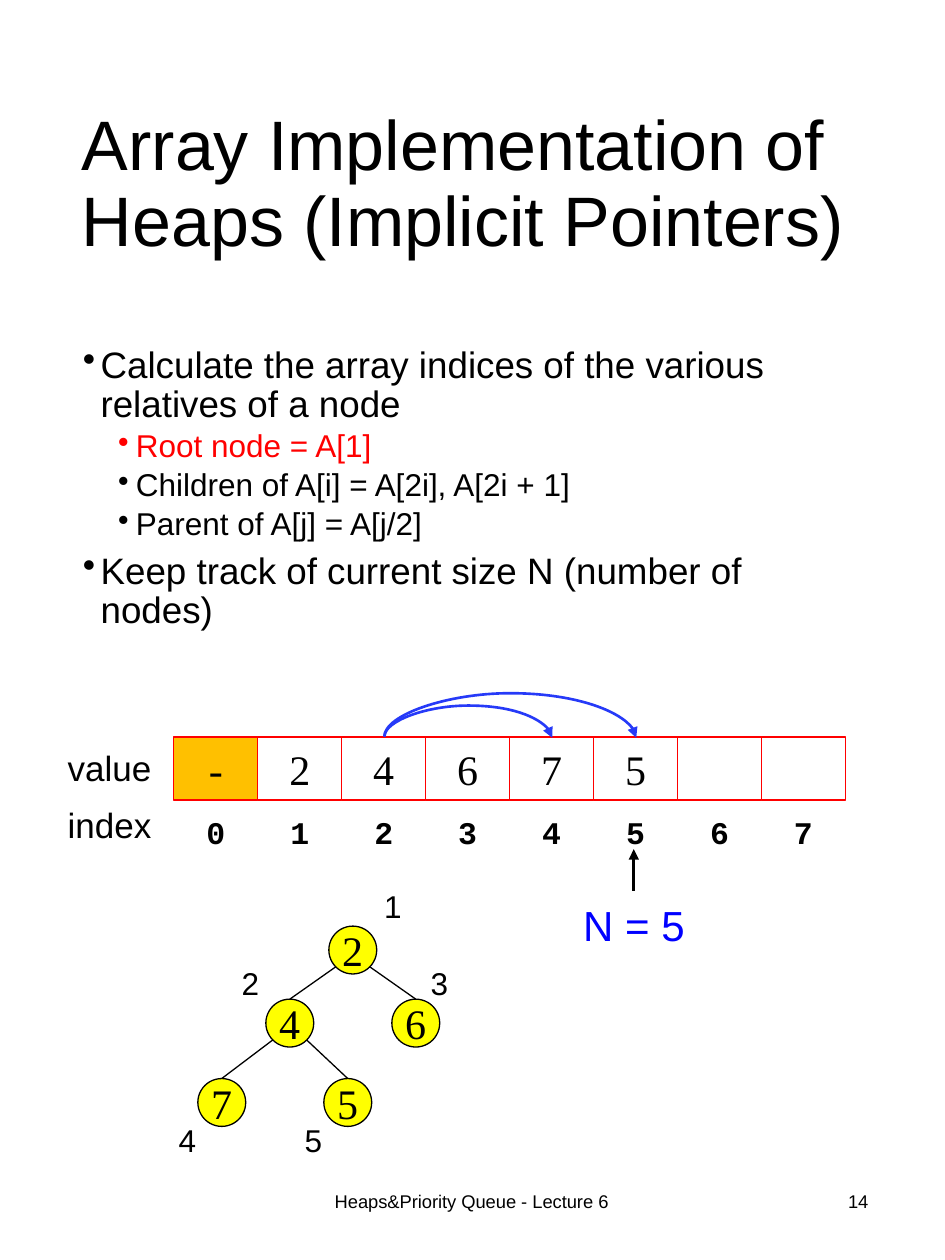
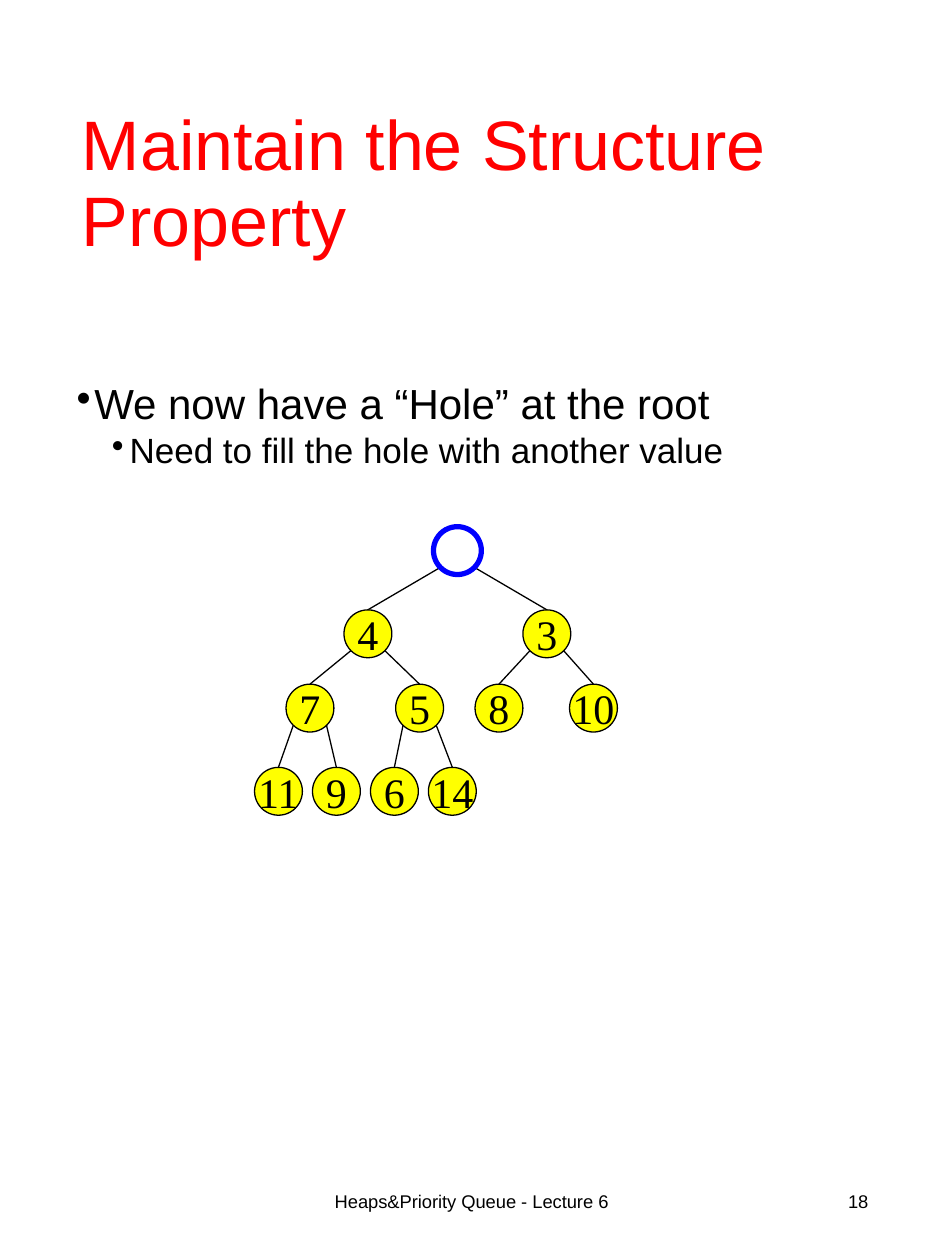
from lxml.etree import SubElement
from pptx import Presentation
from pptx.dml.color import RGBColor
from pptx.enum.shapes import MSO_CONNECTOR as Link, MSO_SHAPE as Form
from pptx.enum.text import MSO_ANCHOR as Anchor, MSO_AUTO_SIZE as Fit, PP_ALIGN as Align
from pptx.oxml.ns import qn
from pptx.util import Pt

PX = 9144
BLACK = RGBColor(0x00, 0x00, 0x00)
RED = RGBColor(0xFF, 0x00, 0x00)
BLUE = RGBColor(0x00, 0x00, 0xFF)
ARC = RGBColor(0x26, 0x3A, 0xF8)
YELLOW = RGBColor(0xFF, 0xFF, 0x00)
AMBER = RGBColor(0xFF, 0xC0, 0x00)
SANS, SERIF, MONO = "Arial", "Times New Roman", "Courier New"
NODE = 38


def scale(*nums):
    """Turn px into EMU."""
    return [round(n * PX) for n in nums]


def add_run(para, text, size, color=BLACK, font=SANS, bold=False):
    """Add one styled run."""
    run = para.add_run()
    run.text = text
    run.font.size = Pt(size)
    run.font.name = font
    run.font.bold = bold
    run.font.color.rgb = color


def write(shape, text, size, color=BLACK, font=SANS, align=Align.CENTER,
          anchor=Anchor.MIDDLE, wrap=False, bold=False):
    """Put one line of text in a shape."""
    frame = shape.text_frame
    frame.word_wrap = wrap
    frame.vertical_anchor = anchor
    para = frame.paragraphs[0]
    para.alignment = align
    add_run(para, text, size, color, font, bold)


def label(slide, box, text, size, **style):
    """Add a text box with one line."""
    write(slide.shapes.add_textbox(*scale(*box)), text, size, **style)


def draw(slide, form, box, fill, edge, width=0.75, text=""):
    """Add a preset shape with an optional value."""
    shape = slide.shapes.add_shape(form, *scale(*box))
    shape.shadow.inherit = False
    if fill is None:
        shape.fill.background()
    else:
        shape.fill.solid()
        shape.fill.fore_color.rgb = fill
    shape.line.color.rgb = edge
    shape.line.width = Pt(width)
    if text:
        write(shape, text, 24, font=SERIF)


def join(slide, ends, color=BLACK, width=0.75, kind=Link.STRAIGHT, head=False):
    """Add a line, with an arrowhead if asked."""
    line = slide.shapes.add_connector(kind, *scale(*ends))
    line.line.color.rgb = color
    line.line.width = Pt(width)
    props = line._element.spPr
    if head:
        SubElement(props.find(qn("a:ln")), qn("a:tailEnd"), type="triangle")
    SubElement(props, qn("a:effectLst"))
    return line


def arc(slide, start, end, top, rise):
    """Add an arrow that arches over the cells."""
    mid, half = (start + end) / 2, (end - start) / 2
    line = join(slide, (mid, top + half, mid + 1, top - half), ARC, 1.5,
                Link.CURVE, True)
    props = line._element.spPr
    props.find(qn("a:xfrm")).set("rot", "5400000")
    geom = props.find(qn("a:prstGeom"))
    guides = geom.find(qn("a:avLst"))
    if guides is None:
        guides = SubElement(geom, qn("a:avLst"))
    SubElement(guides, qn("a:gd"), name="adj1", fmla=f"val {-rise * 100000}")


def start_slide(deck, title, number, color=BLACK):
    """Add a slide with its title and footer."""
    slide = deck.slides.add_slide(deck.slide_layouts[5])
    head = slide.shapes.title
    head.left, head.top, head.width, head.height = scale(55, 51, 647, 193)
    write(head, title, 40, color, align=Align.LEFT, wrap=True)
    head.text_frame.auto_size = Fit.NONE
    head.text_frame.paragraphs[0].line_spacing = 0.9
    label(slide, (248, 927, 253, 53), "Heaps&Priority Queue - Lecture 6", 10.5, wrap=True)
    label(slide, (530, 927, 169, 53), number, 10.5, align=Align.RIGHT, wrap=True)
    return slide


def bullets(slide, box, sizes, items):
    """Add a two-level bullet list."""
    frame = slide.shapes.add_textbox(*scale(*box)).text_frame
    frame.word_wrap = True
    for i, (level, text, color) in enumerate(items):
        para = frame.add_paragraph() if i else frame.paragraphs[0]
        para.level = level
        props = para._p.get_or_add_pPr()
        left, hang = scale(14 + 28 * level, -14)
        props.set("marL", str(left))
        props.set("indent", str(hang))
        SubElement(props, qn("a:buChar"), char="•")
        para.line_spacing = 0.9
        para.space_before = Pt((5.7, 2.8)[level] if i else 0)
        add_run(para, text, sizes[level], color)


def tree(slide, box, values, spots):
    """Draw a heap, where node i hangs from node i // 2."""
    left, top = box
    spots = [(left + x, top + y) for x, y in spots]
    for i, (x, y) in enumerate(spots[1:], 2):
        up_x, up_y = spots[i // 2 - 1]
        side = 13 if i % 2 else -13
        join(slide, (up_x + 19 + side, up_y + 32, x + 19, y))
    for value, (x, y) in zip(values, spots):
        look = (YELLOW, BLACK, 0.75) if value else (None, BLUE, 3)
        draw(slide, Form.OVAL, (x, y, NODE, NODE), *look, value)


def tags(slide, box, spots):
    """Number the nodes of a heap."""
    left, top = box
    for i, (x, y) in enumerate(spots, 1):
        label(slide, (left + x, top + y, 34, 40), str(i), 18,
              align=Align.LEFT, anchor=Anchor.TOP)


def array(slide, box, values):
    """Draw the array cells, their indices and the child arrows."""
    left, top, width, high = box
    step = width / len(values)
    for text, y, wide in (("value", 2, 90), ("index", 47, 93)):
        label(slide, (left - 51 - wide / 2, top + y, wide, 44), text, 20)
    for i, value in enumerate(values):
        x = left + i * step
        draw(slide, Form.RECTANGLE, (x, top, step, high),
             None if i else AMBER, RED, text=value)
        label(slide, (x, top + high, step, high), str(i), 18, font=MONO, bold=True)
    for child, rise in ((4, 25), (5, 35)):
        arc(slide, left + 2.5 * step, left + (child + 0.5) * step, top, rise)
    join(slide, (left + 365, top + 122, left + 365, top + 89), width=1.5, head=True)
    label(slide, (left + 315, top + 124, 107, 50), "N = 5", 24, color=BLUE,
          align=Align.LEFT, anchor=Anchor.TOP)


def array_slide(deck):
    """Build the slide on the array form of a heap."""
    slide = start_slide(deck, "Array Implementation of Heaps (Implicit Pointers)", "14")
    bullets(slide, (56, 270, 619, 293), (21, 18), [
        (0, "Calculate the array indices of the various relatives of a node", BLACK),
        (1, "Root node = A[1]", RED),
        (1, "Children of A[i] = A[2i], A[2i + 1]", BLACK),
        (1, "Parent of A[j] = A[j/2]", BLACK),
        (0, "Keep track of current size N (number of nodes)", BLACK),
    ])
    array(slide, (138, 585, 533, 50), ["-", "2", "4", "6", "7", "5", "", ""])
    box = (157, 735)
    tree(slide, box, ["2", "4", "6", "7", "5"],
         [(104, 0), (54, 58), (154, 58), (0, 121), (100, 121)])
    tags(slide, box, [(138, -36), (25, 25), (175, 25), (-25, 150), (75, 150)])


def hole_slide(deck):
    """Build the slide on the hole at the root."""
    slide = start_slide(deck, "Maintain the Structure Property", "18", RED)
    bullets(slide, (51, 299, 670, 610), (24, 20), [
        (0, "We now have a “Hole” at the root", BLACK),
        (1, "Need to fill the hole with another value", BLACK),
    ])
    tree(slide, (202, 418),
         ["", "4", "3", "7", "5", "8", "10", "11", "9", "6", "14"],
         [(142, 0), (71, 66), (213, 66),
          (25, 125), (112, 125), (175, 125), (250, 125),
          *((46 * i, 191) for i in range(4))])


def main():
    """Build and save the deck."""
    deck = Presentation()
    deck.slide_width, deck.slide_height = scale(750, 1000)
    array_slide(deck)
    hole_slide(deck)
    deck.save("out.pptx")


if __name__ == "__main__":
    main()
